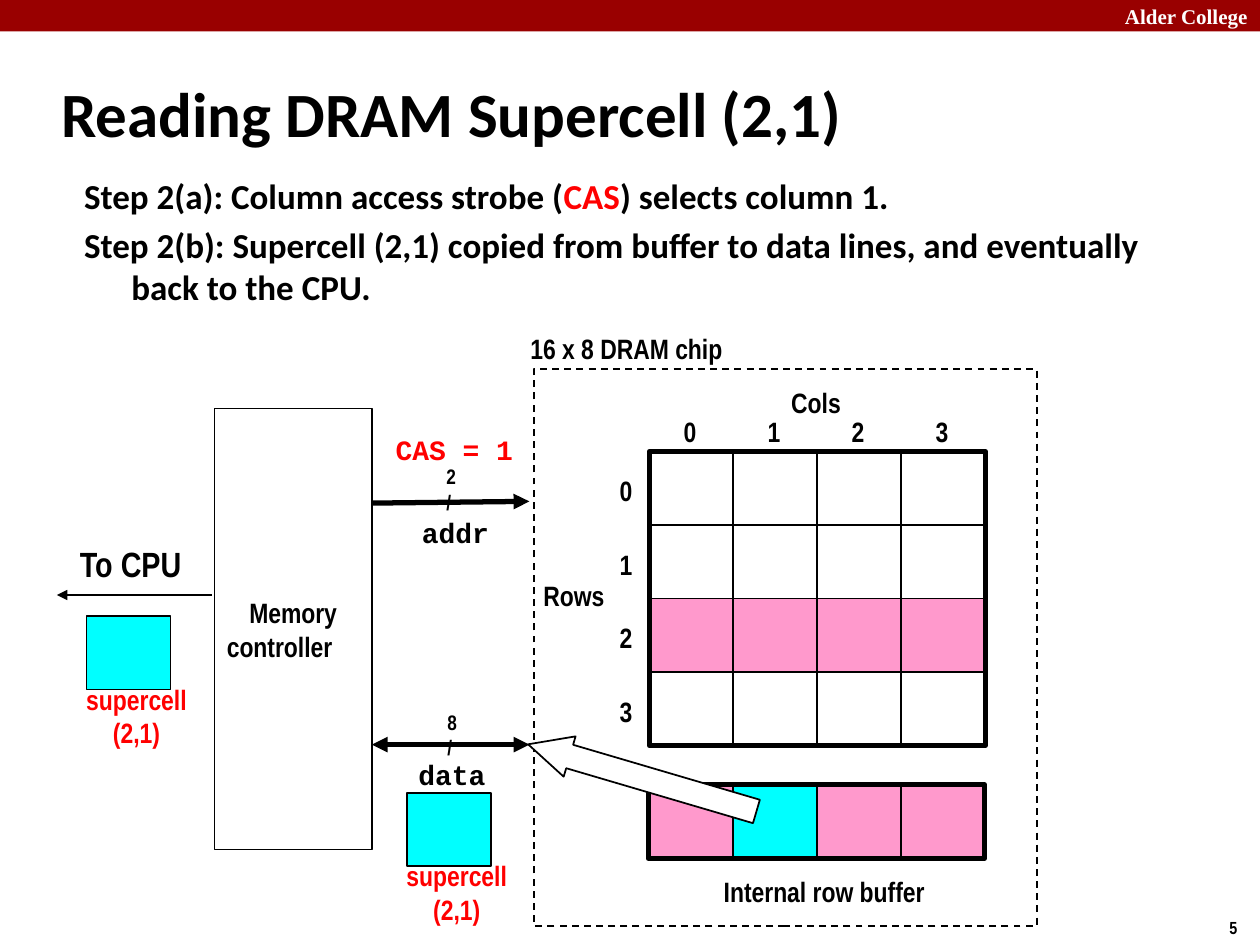
import pptx
import pptx.dml.color
import pptx.enum.dml
import pptx.enum.shapes
import pptx.enum.text
import pptx.oxml
import pptx.oxml.ns
import pptx.util

Pt = pptx.util.Pt
SHAPE = pptx.enum.shapes.MSO_SHAPE
ALIGN = pptx.enum.text.PP_ALIGN
ANCHOR = pptx.enum.text.MSO_ANCHOR
BLACK, WHITE, RED, PINK, CYAN = "000000", "FFFFFF", "FF0000", "FF99CC", "00FFFF"
LABEL, CODE, BODY = "Arial Narrow", "Courier New", "Calibri"
CELL_W, CELL_H = 48, 42
GRID_X, GRID_Y, BUFFER_Y = 371, 258, 448.5


def rgb(color):
    """Turn a hex string into a colour."""
    return pptx.dml.color.RGBColor.from_string(color)


class Diagram:
    """Holds the style and the slide being drawn; lengths are in points."""

    def __init__(self, slide):
        """Keep the slide to draw on."""
        self.s = slide

    def font(self, runs, size, color=BLACK, name=LABEL):
        """Format runs in bold type."""
        for r in runs:
            r.font.size, r.font.name, r.font.bold = Pt(size), name, True
            r.font.color.rgb = rgb(color)

    def text(self, x, y, w, h, text, size=16, color=BLACK, name=LABEL,
             align=ALIGN.LEFT, anchor=ANCHOR.MIDDLE, wrap=False):
        """Add a text box, one paragraph per line of text."""
        sp = self.s.shapes.add_textbox(Pt(x), Pt(y), Pt(w), Pt(h))
        tf = sp.text_frame
        tf.text, tf.word_wrap, tf.vertical_anchor = text, wrap, anchor
        for p in tf.paragraphs:
            p.alignment = align
            self.font(p.runs, size, color, name)
        return sp

    def box(self, x, y, w, h, fill=None, line=1, kind=SHAPE.RECTANGLE):
        """Add a shape; no fill or a zero line leaves that part out."""
        sp = self.s.shapes.add_shape(kind, Pt(x), Pt(y), Pt(w), Pt(h))
        sp.shadow.inherit = False
        if fill:
            sp.fill.solid()
            sp.fill.fore_color.rgb = rgb(fill)
        else:
            sp.fill.background()
        if line:
            sp.line.color.rgb = rgb(BLACK)
            sp.line.width = Pt(line)
        else:
            sp.line.fill.background()
        return sp

    def cells(self, y, fills):
        """Add one row of memory cells."""
        for col, fill in enumerate(fills):
            self.box(GRID_X + col * CELL_W, y, CELL_W, CELL_H, fill)

    def arrow(self, x1, y1, x2, y2, width, ends=("tailEnd",)):
        """Add a straight line with triangle heads at the named ends."""
        cx = self.s.shapes.add_connector(
            pptx.enum.shapes.MSO_CONNECTOR.STRAIGHT, Pt(x1), Pt(y1), Pt(x2), Pt(y2))
        cx.line.color.rgb = rgb(BLACK)
        cx.line.width = Pt(width)
        ln = cx.line._get_or_add_ln()
        for end in ends:
            head = pptx.oxml.parse_xml(
                f'<a:{end} {pptx.oxml.ns.nsdecls("a")} type="triangle"/>')
            ln.append(head)
        cx.element.spPr.append(pptx.oxml.parse_xml(
            f'<a:effectLst {pptx.oxml.ns.nsdecls("a")}/>'))

    def steps(self, x, y, w, h, steps):
        """Add hanging paragraphs, each a list of (text, colour) runs."""
        tf = self.text(x, y, w, h, "", anchor=ANCHOR.TOP, wrap=True).text_frame
        for i, parts in enumerate(steps):
            p = tf.add_paragraph() if i else tf.paragraphs[0]
            p.space_before = Pt(4)
            pPr = p._p.get_or_add_pPr()
            pPr.set("marL", str(Pt(27)))
            pPr.set("indent", str(-Pt(27)))
            for text, color in parts:
                r = p.add_run()
                r.text = text
                self.font([r], 20, color, BODY)

    def supercell(self, x, y):
        """Add a cyan cell with its red caption below."""
        self.text(x - 8, y + 34, 73, 46, "supercell \n(2,1)", color=RED,
                  align=ALIGN.CENTER)
        self.box(x, y, CELL_W, CELL_H, CYAN)


prs = pptx.Presentation()
prs.slide_width, prs.slide_height = Pt(720), Pt(540)
d = Diagram(prs.slides.add_slide(prs.slide_layouts[6]))

# Header, title and steps
d.box(0, 0, 720, 18, "990000", 0)
d.text(580, -2, 140, 22, "Alder College", 12, WHITE, "Times New Roman",
       align=ALIGN.RIGHT, wrap=True)
d.text(695.5, 520.5, 24.5, 19.5, "5", 10)
d.text(28, 34, 598, 60, "Reading DRAM Supercell (2,1)", 36, name=BODY, wrap=True)
d.steps(41, 96, 637, 84, [
    [("Step 2(a): Column access strobe (", BLACK), ("CAS", RED),
     (") selects column 1.", BLACK)],
    [("Step 2(b): Supercell (2,1) copied from buffer to data lines, "
      "and eventually back to the CPU.", BLACK)]])

# Memory array
d.text(445, 216.5, 43, 26.5, "Cols")
d.text(303, 327, 50, 26.5, "Rows", align=ALIGN.CENTER)
for i in range(4):
    d.cells(GRID_Y + i * CELL_H, [PINK if i == 2 else WHITE] * 4)
    d.text(GRID_X + 12.5 + i * CELL_W, 233, 23, 26.5, str(i))
    d.text(347, GRID_Y + 9 + i * CELL_H, 23, 26.5, str(i))
d.box(GRID_X, GRID_Y, 4 * CELL_W, 4 * CELL_H, line=3)

# Chip outline and row buffer
chip = d.box(305, 211, 287.5, 318)
chip.line.dash_style = pptx.enum.dml.MSO_LINE.DASH
d.text(296, 186, 149, 26.5, "16 x 8 DRAM chip", wrap=True)
d.text(405.5, 496, 131, 26.5, "Internal row buffer", align=ALIGN.CENTER)
d.cells(BUFFER_Y, [PINK, CYAN, PINK, PINK])
d.box(GRID_X - 0.5, BUFFER_Y, 4 * CELL_W, CELL_H, line=3)

# Address and data lines
d.text(219, 243.5, 82, 26.5, "CAS = 1", color=RED, name=CODE)
d.arrow(212.5, 287.5, 302.5, 286.5, 3)
d.text(234, 291, 53, 26.5, "addr", name=CODE)
d.arrow(212.5, 425.5, 302.5, 425.5, 3, ("headEnd", "tailEnd"))
d.text(232, 429, 53, 26.5, "data", name=CODE)
d.text(248, 261.5, 21, 36, "2\n/", 12)
d.text(248.5, 402, 21, 36, "8\n/", 12)

# Memory controller
controller = d.box(122.5, 233.5, 90, 252, WHITE)
tf = controller.text_frame
tf.text, tf.word_wrap, tf.vertical_anchor = "Memory\ncontroller", True, ANCHOR.MIDDLE
for p, align in zip(tf.paragraphs, (ALIGN.CENTER, ALIGN.LEFT)):
    p.alignment = align
    d.font(p.runs, 16)

# Supercell on its way to the CPU
transfer = d.box(355, 376.5, 24, 136, WHITE, kind=SHAPE.DOWN_ARROW)
transfer.rotation = 106.4
transfer.adjustments[0], transfer.adjustments[1] = 0.58, 1.03
d.supercell(232.5, 453)
d.supercell(49.5, 352)
d.arrow(121, 340, 32.5, 340, 1.5)
d.text(38.5, 306, 73, 31.5, "To CPU", 20)

prs.save("out.pptx")
